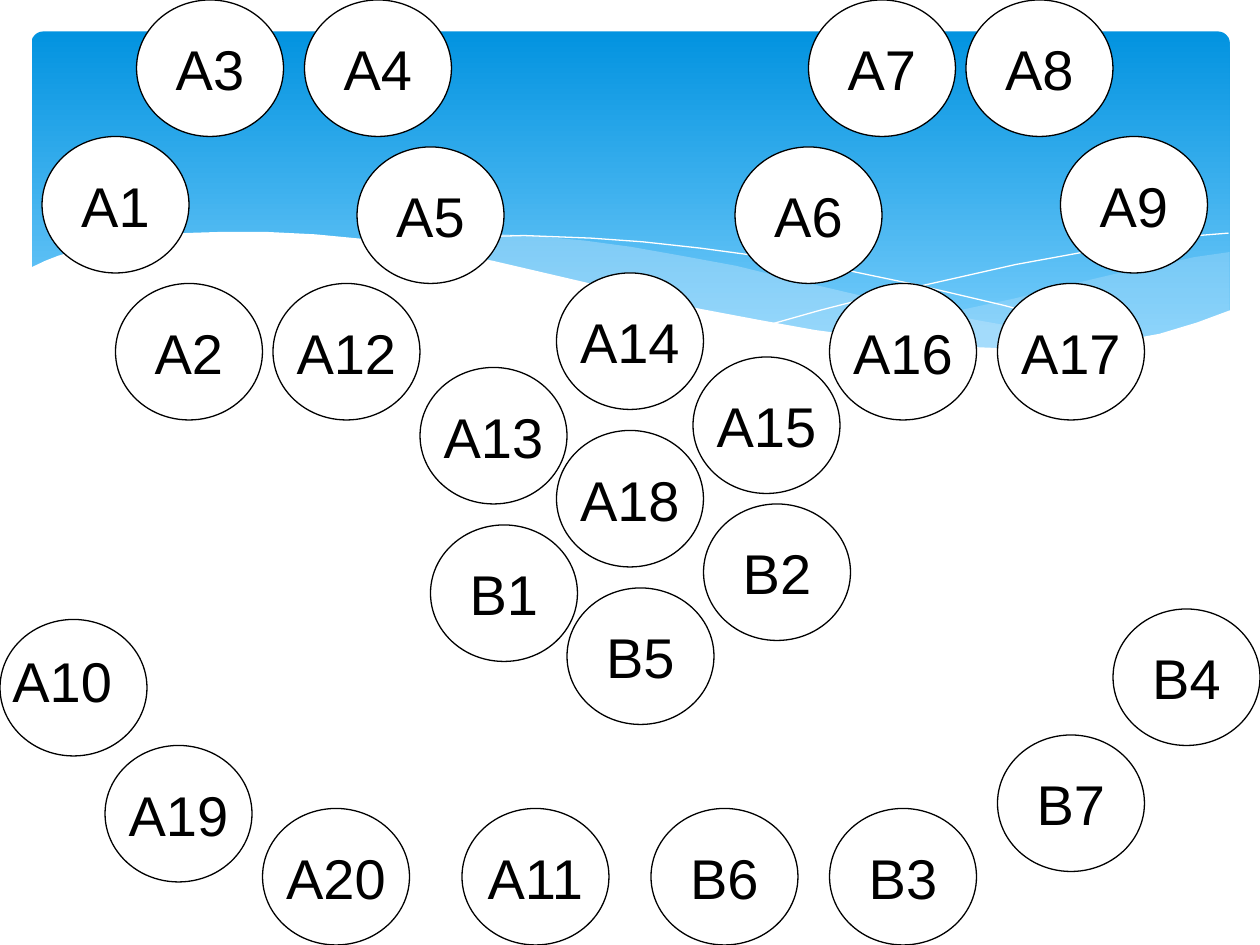
from pptx import Presentation
from pptx.dml.color import RGBColor
from pptx.enum.shapes import MSO_SHAPE as Preset
from pptx.enum.text import MSO_ANCHOR as Anchor, PP_ALIGN as Align
from pptx.oxml import parse_xml
from pptx.oxml.ns import nsdecls, qn
from pptx.util import Pt

WHITE = RGBColor(0xFF, 0xFF, 0xFF)
BLACK = RGBColor(0x00, 0x00, 0x00)
SKY_TOP = RGBColor(0x02, 0x93, 0xE0)
SKY_BOTTOM = RGBColor(0x83, 0xD3, 0xFE)
MIST = RGBColor(0xC6, 0xE7, 0xFC)

LABEL_FONT = {"name": "Arial", "size": Pt(32)}
FRAME = {"margin_left": Pt(7.2), "margin_right": Pt(7.2),
         "margin_top": Pt(3.6), "margin_bottom": Pt(3.6), "word_wrap": False}
CIRCLE_SIZE = (84, 78)

# Wave outlines, in points from the banner's top left corner
RIGHT_BAND = [
    (684.7, 126), (664.6, 128.9), (645.1, 133.2), (623.5, 137.5), (601.9, 142.6),
    (561.6, 152.6), (524.2, 160.6), (490.3, 167), (457.9, 172.8), (479.5, 175.7),
    (509, 179.3), (535.7, 181.4), (560.2, 182.2), (589.7, 181.4), (616.3, 178.6),
    (639.4, 174.2), (660.2, 168.5), (684.7, 159.8)]
LONG_BAND = [
    (625, 178.6), (584.6, 172.8), (540, 164.9), (490.3, 154.8), (434.9, 141.8),
    (402.5, 133.9), (371.5, 128.2), (342.7, 123.1), (316.1, 119.5), (284.4, 116.6),
    (255.6, 115.2), (229.7, 115.9), (207.4, 117.4), (187.9, 119.5), (228.2, 125.3),
    (272.9, 133.9), (305.3, 141.8), (363.6, 154.8), (414.7, 165.6), (460.8, 173.5),
    (501.8, 179.3), (538.6, 182.2), (571, 182.9), (599, 181.4)]
FALLING_LINE = [
    (204.5, 122.4), (223.2, 119.5), (251.3, 117.4), (281.5, 116.6), (319.7, 118.1),
    (349.2, 120.2), (382.3, 123.8), (419.8, 128.9), (460.8, 135.4), (505.4, 144.7),
    (554.4, 156.2), (607, 169.9), (635, 177.8)]
RISING_LINE = [
    (423.4, 167), (451.4, 159.1), (482.4, 151.2), (520.6, 142.6), (562.3, 133.2),
    (605.5, 125.3), (637.2, 120.2), (666.7, 116.6), (684, 115.2)]
FRONT_WAVE = [
    (685.4, 159.1), (666, 166.3), (644.4, 172.8), (620.6, 177.1), (594, 180),
    (564.5, 181.4), (529.9, 180), (491.8, 176.4), (447.8, 170.6), (416.2, 164.9),
    (381.6, 158.4), (344.2, 149.8), (303.8, 140.4), (263.5, 131), (226.1, 123.8),
    (192.2, 118.8), (162, 115.9), (133.9, 114.5), (108.7, 114.5), (87.1, 115.2),
    (67.7, 116.6), (50.4, 119.5), (36, 122.4), (24.5, 125.3), (15.1, 128.2),
    (7.9, 131), (-1.4, 135.4), (-1.4, 218.9), (685.4, 218.9)]

# Circle labels with left and top, in points
CIRCLES = [
    ("А1", 24, 78), ("А2", 66, 162), ("А3", 78, 0), ("А4", 174, 0),
    ("А5", 204, 84), ("А6", 420, 84), ("А7", 462, 0), ("А8", 552, 0),
    ("А9", 606, 78), ("А15", 396, 204), ("", 0, 354), ("А13", 240, 210),
    ("А12", 156, 162), ("А14", 318, 156), ("А11", 264, 462), ("А16", 474, 162),
    ("А17", 570, 162), ("А18", 318, 246), ("А19", 60, 426), ("А20", 150, 462),
    ("В1", 246, 300), ("В5", 324, 336), ("В2", 402, 288), ("В6", 372, 462),
    ("В3", 474, 462), ("В7", 570, 420), ("В4", 636, 348)]


def set_all(target, values):
    for name, value in values.items():
        setattr(target, name, value)


def write_label(shape, text, align, anchor):
    frame = shape.text_frame
    set_all(frame, FRAME | {"vertical_anchor": anchor})
    para = frame.paragraphs[0]
    para.alignment = align
    span = para.add_run()
    span.text = text
    set_all(span.font, LABEL_FONT)
    span.font.color.rgb = BLACK


def draw_wave(page, box, points, color=None, opacity=100):
    """Draw a filled band, or an open white line if no colour is given."""
    left, top = box[:2]
    corners = [(Pt(left + x), Pt(top + y)) for x, y in points]
    builder = page.shapes.build_freeform(*corners[0], scale=1.0)
    builder.add_line_segments(corners[1:], close=color is not None)
    wave = builder.convert_to_shape()
    wave.shadow.inherit = False
    if color is None:
        wave.fill.background()
        wave.line.color.rgb = WHITE
        wave.line.width = Pt(0)
        return
    wave.fill.solid()
    wave.fill.fore_color.rgb = color
    wave.line.fill.background()
    if opacity < 100:
        tint = wave._element.spPr.find(qn("a:solidFill"))[0]
        tint.append(parse_xml(f'<a:alpha {nsdecls("a")} val="{opacity * 1000}"/>'))


def draw_banner(page, box):
    # Gradient sky
    sky = page.shapes.add_shape(Preset.ROUNDED_RECTANGLE, *map(Pt, box))
    sky.adjustments[0] = 0.034
    sky.shadow.inherit = False
    sky.line.fill.background()
    sky.fill.gradient()
    sky.fill.gradient_angle = 270
    for stop, color, position in zip(sky.fill.gradient_stops, (SKY_TOP, SKY_BOTTOM), (0, 1)):
        stop.color.rgb = color
        stop.position = position
    # Waves, from back to front
    draw_wave(page, box, RIGHT_BAND, MIST, 29)
    draw_wave(page, box, LONG_BAND, MIST, 40)
    draw_wave(page, box, FALLING_LINE)
    draw_wave(page, box, RISING_LINE)
    draw_wave(page, box, FRONT_WAVE, WHITE)


def draw_circle(page, box, text):
    circle = page.shapes.add_shape(Preset.OVAL, *map(Pt, box))
    circle.shadow.inherit = False
    circle.fill.solid()
    circle.fill.fore_color.rgb = WHITE
    circle.line.color.rgb = BLACK
    circle.line.width = Pt(0.75)
    if text:
        write_label(circle, text, Align.CENTER, Anchor.MIDDLE)


def draw_seats(page, box):
    left, top = box[:2]
    for text, x, y in CIRCLES:
        draw_circle(page, (left + x, top + y, *CIRCLE_SIZE), text)
    # Separate label over the unlabelled circle
    label = page.shapes.add_textbox(Pt(left), Pt(top + 366), Pt(71.3), Pt(46))
    write_label(label, "А10", Align.LEFT, Anchor.TOP)


def main():
    deck = Presentation()
    deck.slide_width, deck.slide_height = Pt(720), Pt(540)
    page = deck.slides.add_slide(deck.slide_layouts[6])
    draw_banner(page, (18, 18, 684.7, 194.4))
    draw_seats(page, (0, 0, 720, 540))
    deck.save("out.pptx")


if __name__ == "__main__":
    main()
